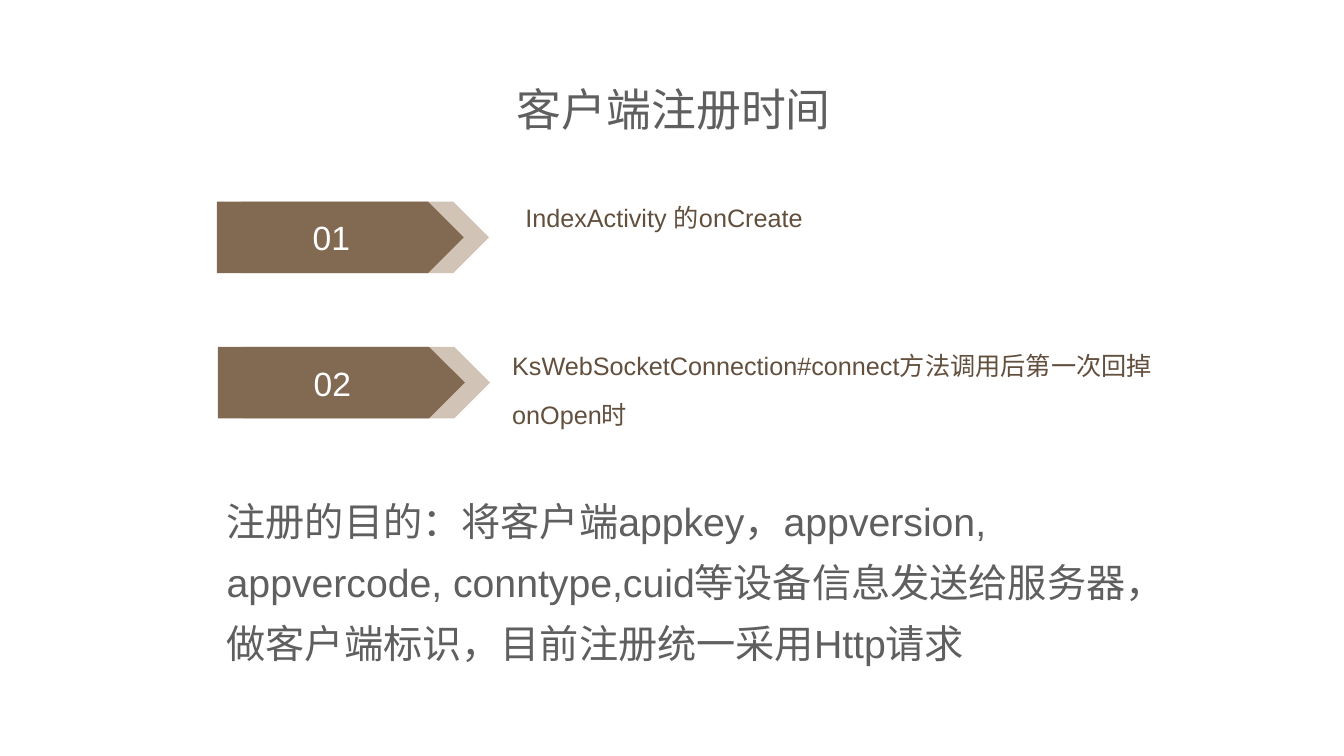
from pptx import Presentation
from pptx.dml.color import RGBColor
from pptx.enum.shapes import MSO_SHAPE
from pptx.enum.text import MSO_ANCHOR, MSO_AUTO_SIZE, PP_ALIGN
from pptx.util import Inches, Pt

COLORS = {
    "arrow": "826951",
    "arrow_back": "D1C3B5",
    "number": "FFFFFF",
    "moment": "624F3D",
    "body": "5F5F5F",
}


def write(part, text, size, color, align=PP_ALIGN.LEFT, anchor=MSO_ANCHOR.TOP,
          spacing=1.0, wrap=True, inset=None, fit=MSO_AUTO_SIZE.NONE):
    frame = part.text_frame
    frame.auto_size = fit
    frame.word_wrap = wrap
    frame.vertical_anchor = anchor
    if inset is not None:
        frame.margin_left = frame.margin_right = Inches(inset)
        frame.margin_top = frame.margin_bottom = Inches(inset)
    paragraph = frame.paragraphs[0]
    paragraph.alignment = align
    paragraph.line_spacing = spacing
    run = paragraph.add_run()
    run.text = text
    run.font.name = "Arial"
    run.font.size = Pt(size)
    run.font.color.rgb = RGBColor.from_string(COLORS[color])


deck = Presentation()
deck.slide_width, deck.slide_height = Inches(13.33), Inches(7.5)
slide = deck.slides.add_slide(deck.slide_layouts[5])

# Title
title = slide.shapes.title
title.left, title.top = Inches(2.78), Inches(0.64)
title.width, title.height = Inches(7.81), Inches(0.88)
write(title, "客户端注册时间", 32, "body", align=PP_ALIGN.CENTER,
      anchor=MSO_ANCHOR.MIDDLE, wrap=False)

# Registration moments: a numbered double arrow and its description
arrow_width, arrow_height, arrow_shift = 2.45, 0.71, 0.25
moments = [
    ("01", "IndexActivity 的onCreate", 2.15, 2.0, 5.21, 1.83),
    ("02", "KsWebSocketConnection#connect方法调用后第一次回掉onOpen时",
     2.16, 3.44, 5.08, 3.3),
]
for number, description, arrow_left, arrow_top, text_left, text_top in moments:
    for color, shift in (("arrow_back", arrow_shift), ("arrow", 0)):
        arrow = slide.shapes.add_shape(
            MSO_SHAPE.PENTAGON, Inches(arrow_left + shift), Inches(arrow_top),
            Inches(arrow_width), Inches(arrow_height))
        arrow.shadow.inherit = False
        arrow.fill.solid()
        arrow.fill.fore_color.rgb = RGBColor.from_string(COLORS[color])
        arrow.line.fill.background()
    # The front arrow is drawn last and carries the number
    write(arrow, number, 24, "number", align=PP_ALIGN.CENTER,
          anchor=MSO_ANCHOR.MIDDLE, inset=0)
    moment = slide.shapes.add_textbox(
        Inches(text_left), Inches(text_top), Inches(6.41), Inches(1.01))
    write(moment, description, 18, "moment", spacing=1.6, inset=0)

# Purpose of the registration
purpose = slide.shapes.add_textbox(
    Inches(2.15), Inches(4.74), Inches(9.72), Inches(1.92))
write(purpose,
      "注册的目的：将客户端appkey，appversion, appvercode, conntype,cuid"
      "等设备信息发送给服务器，做客户端标识，目前注册统一采用Http请求",
      28, "body", spacing=1.3, fit=MSO_AUTO_SIZE.SHAPE_TO_FIT_TEXT)

deck.save("out.pptx")
